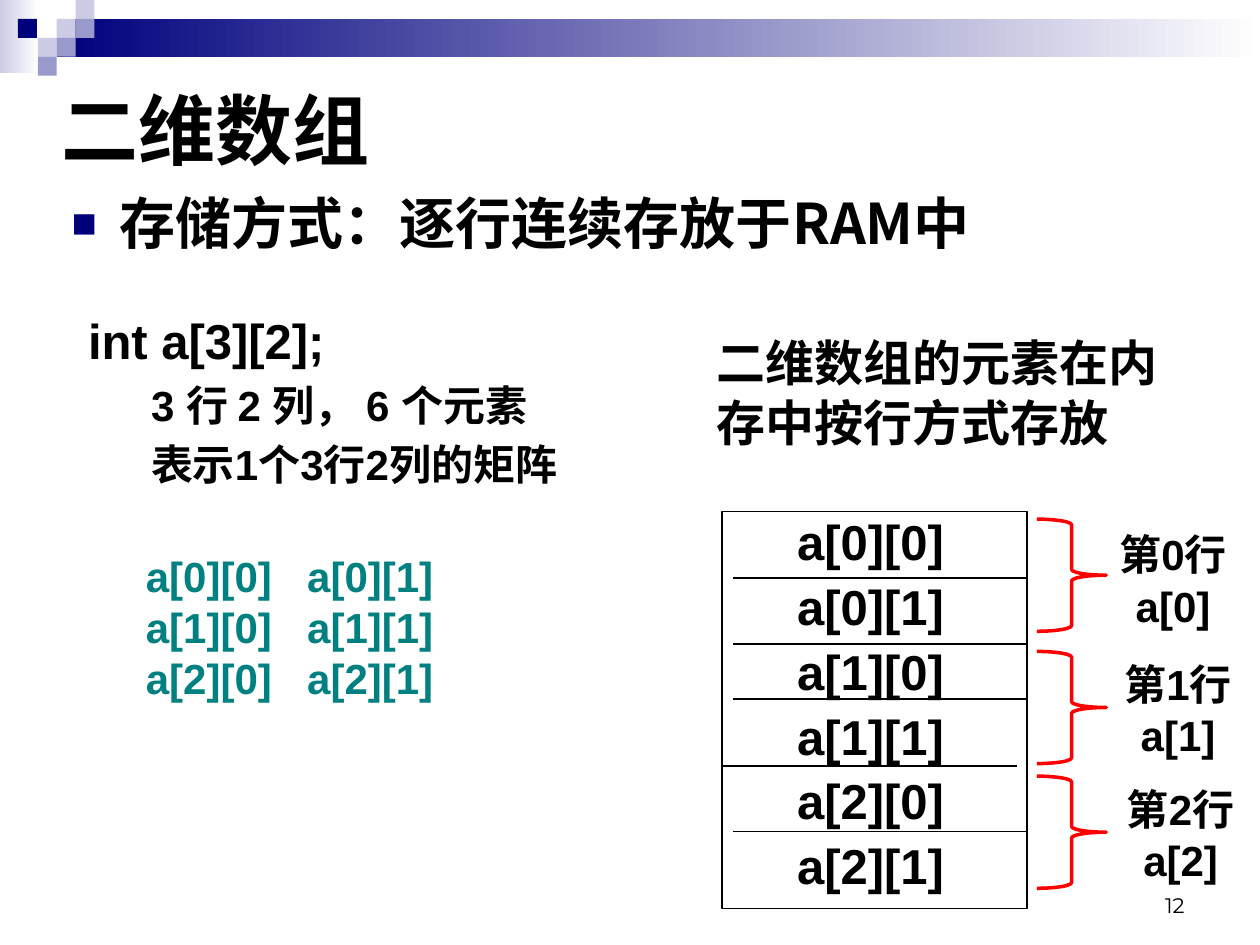
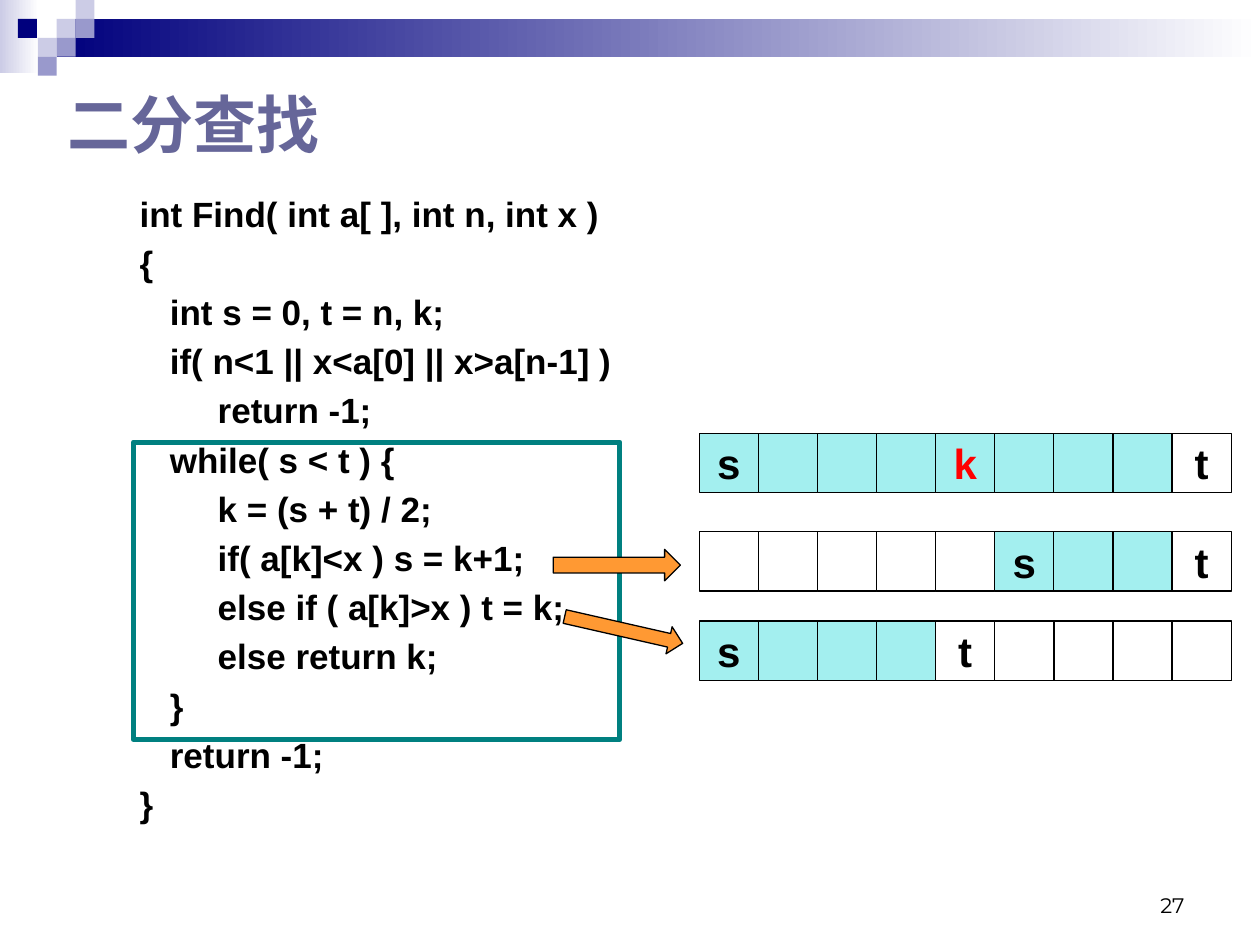
from pptx import Presentation
from pptx.dml.color import RGBColor
from pptx.enum.shapes import MSO_CONNECTOR, MSO_SHAPE
from pptx.enum.text import MSO_ANCHOR, PP_ALIGN
from pptx.oxml.ns import qn
from pptx.util import Inches, Pt
from lxml.etree import SubElement

BLACK = RGBColor(0, 0, 0)
WHITE = RGBColor(0xFF, 0xFF, 0xFF)
NAVY = RGBColor(0x00, 0x00, 0x7D)
LILAC = RGBColor(0xCC, 0xCC, 0xE6)
VIOLET = RGBColor(0x99, 0x99, 0xCC)
SLATE = RGBColor(0x66, 0x66, 0x99)
TEAL = RGBColor(0x00, 0x80, 0x80)
AQUA = RGBColor(0xA3, 0xEF, 0xEF)
ORANGE = RGBColor(0xFF, 0x99, 0x33)
RED = RGBColor(0xFF, 0, 0)

CJK = "Noto Sans CJK SC"
LEADING = 1.22

GRID = 0.15
GRADIENTS = [((0, 0, 0.31, 0.58), LILAC), ((0.45, GRID, 9.55, 0.3), NAVY)]
SQUARES = [(3, 1, LILAC), (4, 0, LILAC), (4, 1, VIOLET), (2, 2, LILAC),
           (0.95, 1, NAVY), (3, 2, VIOLET), (2, 3, VIOLET)]

ROWS, COLUMNS = 3, 2
ELEMENTS = [[f"a[{i}][{j}]" for j in range(COLUMNS)] for i in range(ROWS)]
MEMORY = (5.73, 4.06, 2.42, 3.15)
DIVIDERS = [(5.82, 4.59, 8.15), (5.82, 5.11, 8.15), (5.82, 5.55, 8.15),
            (5.73, 6.08, 8.07), (5.82, 6.6, 8.15)]
BRACES = [(4.12, 8.62, 4.14), (5.17, 8.66, 5.17), (6.16, 8.68, 6.16)]
DECLARATION = [("int a[3][2];", 28, 0.81, -0.31),
               ("3 行 2 列， 6 个元素", 24, 1.25, -0.25),
               ("表示1个3行2列的矩阵", 24, 1.25, -0.25)]

INDENTS = [0.51, 0.75, 1.13]
CODE = [(0, "int Find( int a[ ], int n, int x )"),
        (0, "{"),
        (1, "int s = 0, t = n, k;"),
        (1, "if( n<1 || x<a[0] || x>a[n-1] )"),
        (2, "return -1;"),
        (1, "while( s < t ) {"),
        (2, "k = (s + t) / 2;"),
        (2, "if( a[k]<x ) s = k+1;"),
        (2, "else if ( a[k]>x ) t = k;"),
        (2, "else return k;"),
        (1, "}"),
        (1, "return -1;"),
        (0, "}")]
CELL, PITCH, ARRAY_LEFT, CELL_COUNT = 0.47, 0.469, 5.55, 9
ARRAYS = [(3.44, {0: "s", 4: "k", 8: "t"}, range(0, 8)),
          (4.22, {5: "s", 8: "t"}, range(5, 8)),
          (4.93, {0: "s", 4: "t"}, range(0, 4))]
ARROWS = [((4.47, 4.89, 0.96, 0.22), 12.8), ((4.39, 4.36, 1.01, 0.25), 0)]


def add_run(p, text, size, color=BLACK, font="Arial", bold=True):
    r = p.add_run()
    r.text = text
    for name, value in {"size": Pt(size), "bold": bold, "name": font}.items():
        setattr(r.font, name, value)
    r.font.color.rgb = color
    SubElement(r._r.get_or_add_rPr(), qn("a:ea")).set("typeface", CJK)


def add_text(s, box, lines, anchor=MSO_ANCHOR.TOP, align=PP_ALIGN.LEFT,
             leading=None, **style):
    tf = s.shapes.add_textbox(*map(Inches, box)).text_frame
    tf.word_wrap = True
    tf.vertical_anchor = anchor
    for i, (text, size, left, indent, before) in enumerate(lines):
        p = tf.paragraphs[0] if i == 0 else tf.add_paragraph()
        values = {"alignment": align, "space_before": Pt(before),
                  "line_spacing": leading or Pt(round(size * LEADING, 1))}
        for name, value in values.items():
            setattr(p, name, value)
        pPr = p._p.get_or_add_pPr()
        pPr.set("marL", str(Inches(left)))
        pPr.set("indent", str(Inches(indent)))
        add_run(p, text, size, **style)
    return tf


def add_line(s, text, size, box, **options):
    return add_text(s, box, [(text, size, 0, 0, 0)], **options)


def add_box(s, kind, box, fill=None, line=None, width=0.75):
    sp = s.shapes.add_shape(kind, *map(Inches, box))
    sp.shadow.inherit = False
    if fill is None:
        sp.fill.background()
    else:
        sp.fill.solid()
        sp.fill.fore_color.rgb = fill
    if line is None:
        sp.line.fill.background()
    else:
        sp.line.color.rgb = line
        sp.line.width = Pt(width)
    return sp


def add_divider(s, left, y, right):
    c = s.shapes.add_connector(MSO_CONNECTOR.STRAIGHT, Inches(left), Inches(y),
                               Inches(right), Inches(y))
    c.line.color.rgb = BLACK
    c.line.width = Pt(1)
    SubElement(c._element.spPr, qn("a:effectLst"))


def add_bullet(p):
    pPr = p._p.get_or_add_pPr()
    color = SubElement(SubElement(pPr, qn("a:buClr")), qn("a:srgbClr"))
    color.set("val", str(NAVY))
    SubElement(pPr, qn("a:buSzPct")).set("val", "75000")
    SubElement(pPr, qn("a:buFont")).set("typeface", "Arial")
    SubElement(pPr, qn("a:buChar")).set("char", "■")


def new_slide(prs, title, size, title_box, color, number):
    s = prs.slides.add_slide(prs.slide_layouts[6])
    for box, start in GRADIENTS:
        sp = add_box(s, MSO_SHAPE.RECTANGLE, box)
        sp.fill.gradient()
        sp.fill.gradient_angle = 0
        for stop, shade in zip(sp.fill.gradient_stops, (start, WHITE)):
            stop.color.rgb = shade
    for col, row, shade in SQUARES:
        add_box(s, MSO_SHAPE.RECTANGLE,
                (col * GRID, row * GRID, GRID, GRID), shade)
    add_line(s, title, size, title_box, anchor=MSO_ANCHOR.MIDDLE,
             leading=1.0, color=color, font=CJK)
    add_line(s, number, 12, (7.17, 6.83, 2.33, 0.5), anchor=MSO_ANCHOR.BOTTOM,
             align=PP_ALIGN.RIGHT, leading=1.0, font="Montserrat", bold=False)
    return s


def build_storage(prs):
    s = new_slide(prs, "二维数组", 44, (0.39, 0.55, 9, 0.95), BLACK, "12")
    tf = add_text(s, (0.47, 1.51, 9.07, 0.7),
                  [("存储方式：逐行连续存放于RAM中", 32, 0.38, -0.38, 6.4)],
                  leading=0.9, font=CJK)
    add_bullet(tf.paragraphs[0])
    add_line(s, "二维数组的元素在内存中按行方式存放", 28, (5.59, 2.58, 3.83, 1.1))

    left, top, width, height = MEMORY
    add_box(s, MSO_SHAPE.RECTANGLE, MEMORY, line=BLACK, width=1)
    cells = [name for row in ELEMENTS for name in row]
    add_text(s, (left, top - 0.1, width - 0.06, height),
             [(name, 28, 0, 0, 0) for name in cells],
             align=PP_ALIGN.CENTER, leading=Pt(37.1))
    for divider in DIVIDERS:
        add_divider(s, *divider)
    for i, (brace_top, label_left, label_top) in enumerate(BRACES):
        sp = add_box(s, MSO_SHAPE.RIGHT_BRACE, (8.23, brace_top, 0.55, 0.89),
                     line=RED, width=2)
        sp.adjustments[0] = 0.083
        add_line(s, f"第{i}行a[{i}]", 24, (label_left, label_top, 1.38, 0.91),
                 align=PP_ALIGN.CENTER)

    add_text(s, (0.1, 2.41, 4.92, 1.72),
             [(text, size, indent, hang, size * 0.2)
              for text, size, indent, hang in DECLARATION])
    for j in range(COLUMNS):
        add_text(s, (1.06 + j * 1.28, 4.31, 1.3, 1.31),
                 [(row[j], 24, 0, 0, 0) for row in ELEMENTS], color=TEAL)


def build_search(prs):
    s = new_slide(prs, "二分查找", 36, (0.44, 0.6, 8.42, 0.75), SLATE, "27")
    add_text(s, (0.5, 1.47, 9, 4.87),
             [(text, 20, INDENTS[level], 0, 3.7) for level, text in CODE])
    add_box(s, MSO_SHAPE.RECTANGLE, (1.06, 3.51, 3.86, 2.36),
            line=TEAL, width=3)
    for top, labels, active in ARRAYS:
        for i in range(CELL_COUNT):
            sp = add_box(s, MSO_SHAPE.RECTANGLE,
                         (ARRAY_LEFT + i * PITCH, top, CELL, CELL),
                         AQUA if i in active else None, BLACK)
            if i in labels:
                tf = sp.text_frame
                tf.word_wrap = False
                tf.vertical_anchor = MSO_ANCHOR.MIDDLE
                p = tf.paragraphs[0]
                p.alignment = PP_ALIGN.CENTER
                add_run(p, labels[i], 24, RED if labels[i] == "k" else BLACK)
    for box, angle in ARROWS:
        sp = add_box(s, MSO_SHAPE.RIGHT_ARROW, box, ORANGE, BLACK)
        sp.rotation = angle


prs = Presentation()
prs.slide_width, prs.slide_height = Inches(10), Inches(7.5)
build_storage(prs)
build_search(prs)
prs.save("out.pptx")
